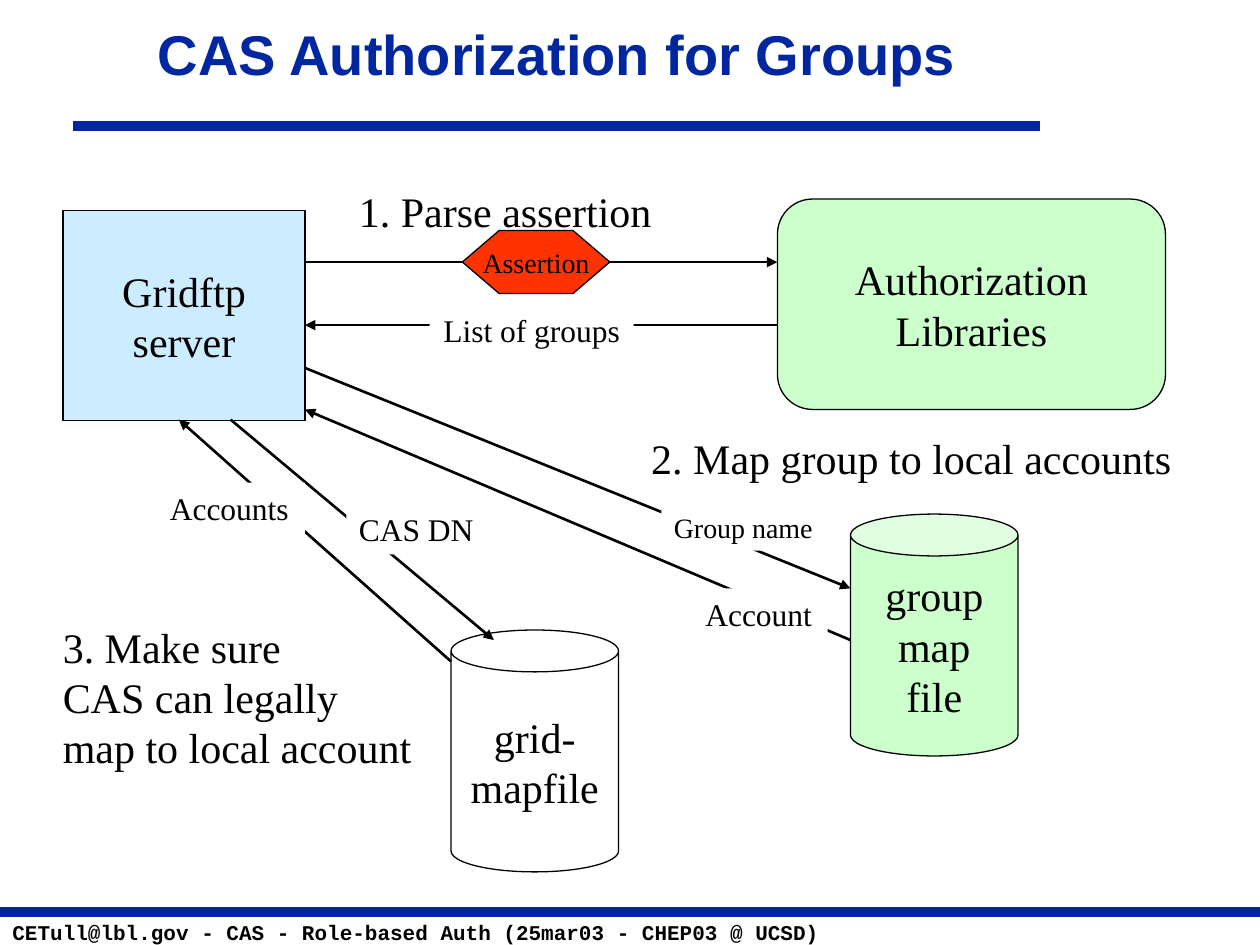
from pptx import Presentation
from pptx.dml.color import RGBColor
from pptx.enum.shapes import MSO_CONNECTOR, MSO_SHAPE
from pptx.enum.text import MSO_ANCHOR, MSO_AUTO_SIZE, PP_ALIGN
from pptx.oxml.ns import qn
from pptx.util import Inches, Pt
from lxml import etree

STRAIGHT = MSO_CONNECTOR.STRAIGHT
RECTANGLE = MSO_SHAPE.RECTANGLE
ROUNDED = MSO_SHAPE.ROUNDED_RECTANGLE
CAN = MSO_SHAPE.CAN
HEXAGON = MSO_SHAPE.HEXAGON
LEFT, CENTER = PP_ALIGN.LEFT, PP_ALIGN.CENTER
TOP, MIDDLE = MSO_ANCHOR.TOP, MSO_ANCHOR.MIDDLE
FIT_SHAPE, NO_FIT = MSO_AUTO_SIZE.SHAPE_TO_FIT_TEXT, MSO_AUTO_SIZE.NONE

COLORS = {
    "black": "000000",
    "white": "FFFFFF",
    "navy": "00279F",
    "sky": "CCECFF",
    "mint": "CCFFCC",
    "red": "FF3300",
}


def color(name):
    return RGBColor.from_string(COLORS[name])


def write_text(frame, text, size=24, font="Times New Roman", ink="black", bold=False,
               align=LEFT, anchor=TOP, wrap=False, fit=NO_FIT, spacing=None):
    """Fill a text frame, one paragraph for each line of text."""
    frame.text = text
    frame.word_wrap = wrap
    frame.auto_size = fit
    frame.vertical_anchor = anchor
    for paragraph in frame.paragraphs:
        paragraph.alignment = align
        paragraph.line_spacing = spacing
        for run in paragraph.runs:
            run.font.name = font
            run.font.size = Pt(size)
            run.font.bold = bold
            run.font.color.rgb = color(ink)


class SlideBuilder:
    """Holds the slide and the line style of the diagram."""

    outline_width = 0.75
    arrow_width = 1.5
    rule_width = 6

    def __init__(self, slide):
        self.slide = slide

    def title(self, box, text):
        shape = self.slide.shapes.title
        shape.left, shape.top, shape.width, shape.height = map(Inches, box)
        write_text(shape.text_frame, text, size=32, font="Arial", ink="navy", bold=True,
                   align=CENTER, anchor=MIDDLE, wrap=True, spacing=0.85)

    def text(self, box, text, **style):
        shape = self.slide.shapes.add_textbox(*map(Inches, box))
        write_text(shape.text_frame, text, fit=FIT_SHAPE, **style)

    def shape(self, kind, box, fill, adjustment=None, outlined=True):
        shape = self.slide.shapes.add_shape(kind, *map(Inches, box))
        shape.shadow.inherit = False
        shape.fill.solid()
        shape.fill.fore_color.rgb = color(fill)
        if outlined:
            shape.line.color.rgb = color("black")
            shape.line.width = Pt(self.outline_width)
        else:
            shape.line.fill.background()
        if adjustment is not None:
            shape.adjustments[0] = adjustment
        return shape

    def node(self, kind, box, fill, text, adjustment=None, size=24):
        shape = self.shape(kind, box, fill, adjustment)
        write_text(shape.text_frame, text, size=size, align=CENTER, anchor=MIDDLE)

    def label(self, box, text, size=18, align=LEFT):
        shape = self.shape(RECTANGLE, box, "white", outlined=False)
        write_text(shape.text_frame, text, size=size, align=align, fit=FIT_SHAPE)

    def line(self, start, end, ink, width):
        connector = self.slide.shapes.add_connector(STRAIGHT, *map(Inches, start + end))
        connector.line.color.rgb = color(ink)
        connector.line.width = Pt(width)
        etree.SubElement(connector._element.spPr, qn("a:effectLst"))
        return connector

    def rule(self, start, end):
        self.line(start, end, "navy", self.rule_width)

    def arrow(self, start, end):
        connector = self.line(start, end, "black", self.arrow_width)
        etree.SubElement(connector.line._get_or_add_ln(), qn("a:tailEnd"), type="triangle")


def main():
    presentation = Presentation()
    presentation.slide_width = Inches(10)
    presentation.slide_height = Inches(7.5)
    builder = SlideBuilder(presentation.slides.add_slide(presentation.slide_layouts[5]))

    # Title, rules and footer
    builder.rule((0, 7.24), (10, 7.24))
    builder.text((0, 7.25, 6.65, 0.3),
                 "CETull@lbl.gov - CAS - Role-based Auth (25mar03 - CHEP03 @ UCSD)",
                 size=12, font="Courier New", bold=True)
    builder.rule((0.58, 1), (8.25, 1))
    builder.title((0.67, 0.06, 7.5, 0.81), "CAS Authorization for Groups")

    # Arrows, drawn first so that nodes and labels cover them
    server_right, library_left, group_left = 2.42, 6.17, 6.75
    for start, end in (
        ((server_right, 2.08), (library_left, 2.08)),
        ((library_left, 2.58), (server_right, 2.58)),
        ((server_right, 2.92), (group_left, 4.67)),
        ((group_left, 5.08), (server_right, 3.25)),
    ):
        builder.arrow(start, end)

    # Servers, libraries and map files
    builder.node(RECTANGLE, (0.5, 1.67, 1.92, 1.67), "sky", "Gridftp\nserver")
    builder.node(ROUNDED, (library_left, 1.58, 3.08, 1.67), "mint",
                 "Authorization\nLibraries", 0.167)
    builder.node(CAN, (group_left, 4.08, 1.33, 1.92), "mint", "group\nmap\nfile", 0.25)
    builder.node(CAN, (3.58, 5, 1.33, 1.92), "white", "grid-\nmapfile", 0.25)
    builder.node(HEXAGON, (3.67, 1.83, 1.17, 0.5), "red", "Assertion", 0.583, size=16)

    # Arrows that reach over the grid-mapfile
    builder.arrow((1.83, 3.33), (3.92, 5.08))
    builder.arrow((3.58, 5.25), (1.42, 3.33))

    # Arrow labels, each wide enough for its text on one line
    builder.label((3.41, 2.42, 1.62, 0.4), "List of groups", align=CENTER)
    builder.label((5.25, 4, 1.33, 0.37), "Group name", size=16)
    builder.label((5.5, 4.67, 1.07, 0.4), "Account")
    builder.label((2.75, 4, 1.14, 0.4), "CAS DN")
    builder.label((1.25, 3.83, 1.17, 0.4), "Accounts")

    # Numbered steps
    builder.text((2.75, 1.42, 2.56, 0.5), "1. Parse assertion")
    builder.text((5.07, 3.38, 4.37, 0.5), "2. Map group to local accounts")
    builder.text((0.4, 4.88, 3, 1.3),
                 "3. Make sure\nCAS can legally\nmap to local account")

    presentation.save("out.pptx")


if __name__ == "__main__":
    main()
